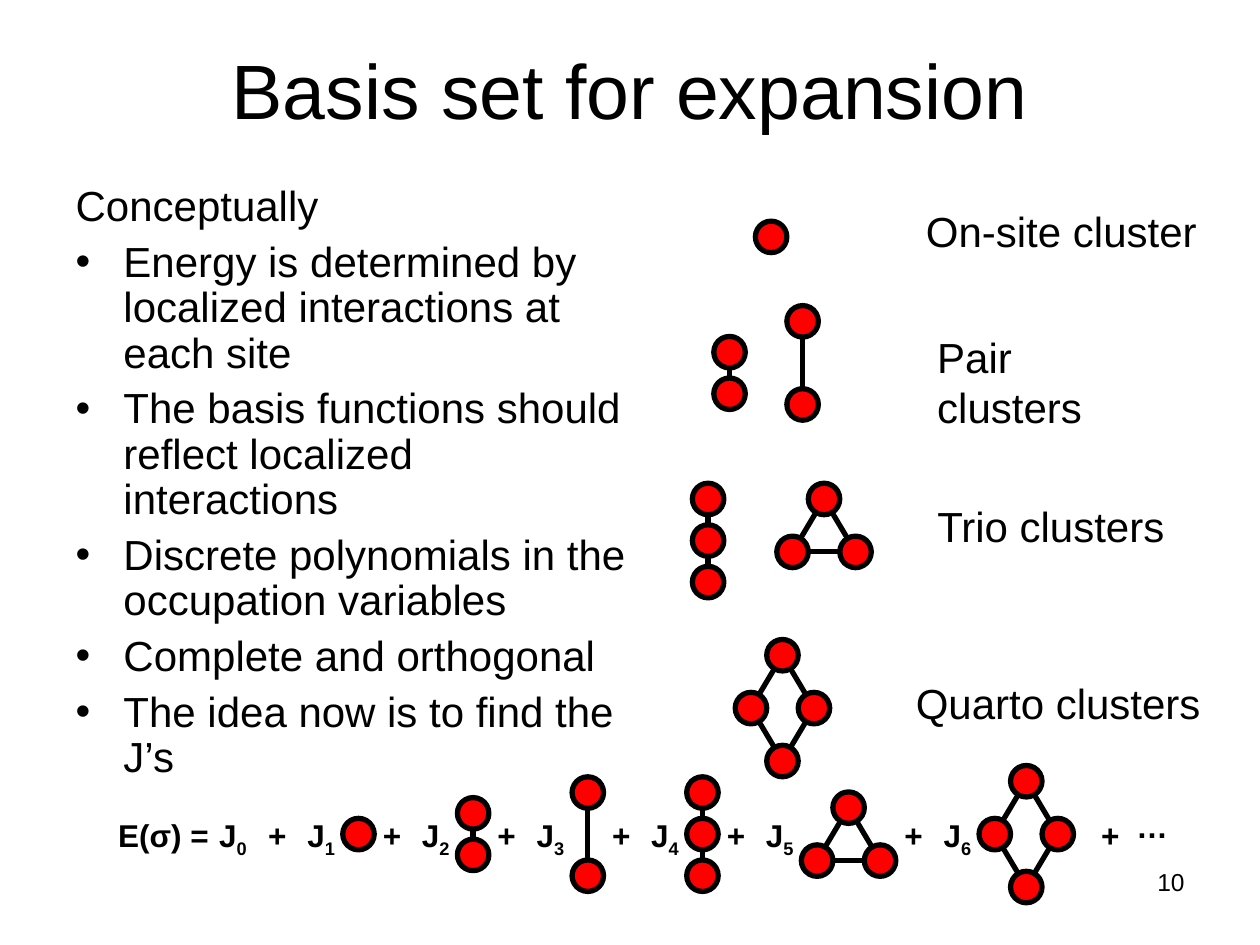
import itertools

import lxml.etree
import pptx
import pptx.dml.color
import pptx.enum.shapes
import pptx.enum.text
import pptx.oxml.ns
import pptx.util

Inches = pptx.util.Inches
ALIGN = pptx.enum.text.PP_ALIGN
FONT = "Arial"
COLORS = {"ink": "000000", "site": "FF0000"}
SITE = 0.25  # diameter of a site

# Site offsets from the cluster's centre; CHAINS are open, the others closed.
CLUSTERS = {
    "site": [(0, 0)],
    "near pair": [(0, -0.165), (0, 0.165)],
    "far pair": [(0, -0.33), (0, 0.33)],
    "line trio": [(0, -0.33), (0, 0), (0, 0.33)],
    "triangle": [(0, -0.21), (0.25, 0.21), (-0.25, 0.21)],
    "diamond": [(0, -0.42), (0.25, 0), (0, 0.42), (-0.25, 0)],
}
CLOSED = ("triangle", "diamond")

BULLETS = [
    "Energy is determined by localized interactions at each site",
    "The basis functions should reflect localized interactions",
    "Discrete polynomials in the occupation variables",
    "Complete and orthogonal",
    "The idea now is to find the J’s",
]

# Label, its left and top, and the clusters with their centres.
FAMILIES = [
    ("On-site cluster", 7.25, 1.58, 2.35, [("site", 6.12, 1.88)]),
    ("Pair clusters", 7.34, 2.58, 2.03,
     [("near pair", 5.79, 2.96), ("far pair", 6.37, 2.88)]),
    ("Trio clusters", 7.34, 3.92, 2.01,
     [("line trio", 5.62, 4.29), ("triangle", 6.54, 4.17)]),
    ("Quarto clusters", 7.17, 5.33, 2.46, [("diamond", 6.21, 5.62)]),
]


def rgb(name):
    return pptx.dml.color.RGBColor.from_string(COLORS[name])


def place(shape, left, top, width, height):
    shape.left, shape.top = Inches(left), Inches(top)
    shape.width, shape.height = Inches(width), Inches(height)


def style_font(paragraph, size, bold=False):
    font = paragraph.font
    font.name, font.size, font.bold = FONT, pptx.util.Pt(size), bold
    font.color.rgb = rgb("ink")


def style_line(shape):
    shape.line.color.rgb = rgb("ink")
    shape.line.width = pptx.util.Pt(3)


def add_label(shapes, text, box, size, bold=False, subscript="", align=ALIGN.LEFT):
    frame = shapes.add_textbox(*map(Inches, box)).text_frame
    frame.word_wrap = False
    frame.auto_size = pptx.enum.text.MSO_AUTO_SIZE.SHAPE_TO_FIT_TEXT
    paragraph = frame.paragraphs[0]
    paragraph.alignment = align
    style_font(paragraph, size, bold)
    paragraph.add_run().text = text
    if subscript:
        run = paragraph.add_run()
        run.text = subscript
        run._r.get_or_add_rPr().set("baseline", "-25000")


def add_bond(shapes, start, end):
    bond = shapes.add_connector(
        pptx.enum.shapes.MSO_CONNECTOR.STRAIGHT, *map(Inches, start + end))
    style_line(bond)
    lxml.etree.SubElement(bond._element.spPr, pptx.oxml.ns.qn("a:effectLst"))


def add_cluster(shapes, name, center_x, center_y):
    """Draw a cluster's bonds, then its sites over them, in a group."""
    group = shapes.add_group_shape().shapes
    sites = [(center_x + dx, center_y + dy) for dx, dy in CLUSTERS[name]]
    ring = sites + sites[:1] if name in CLOSED else sites
    for start, end in itertools.pairwise(ring):
        add_bond(group, start, end)
    for x, y in sites:
        circle = group.add_shape(
            pptx.enum.shapes.MSO_SHAPE.OVAL,
            *map(Inches, (x - SITE / 2, y - SITE / 2, SITE, SITE)))
        circle.shadow.inherit = False
        circle.fill.solid()
        circle.fill.fore_color.rgb = rgb("site")
        style_line(circle)


def fill_title(title, box):
    place(title, *box)
    title.text_frame.text = "Basis set for expansion"
    title.text_frame.vertical_anchor = pptx.enum.text.MSO_ANCHOR.MIDDLE
    paragraph = title.text_frame.paragraphs[0]
    paragraph.alignment = ALIGN.CENTER
    style_font(paragraph, 44)


def fill_body(body, box):
    place(body, *box)
    frame = body.text_frame
    frame.text = "\n".join(["Conceptually"] + BULLETS)
    frame.auto_size = pptx.enum.text.MSO_AUTO_SIZE.NONE
    for index, paragraph in enumerate(frame.paragraphs):
        paragraph.line_spacing = 0.9
        paragraph.space_before = pptx.util.Pt(6)
        properties = paragraph._p.get_or_add_pPr()
        properties.set("marL", str(Inches(0.38)))
        properties.set("indent", str(-Inches(0.38)))
        tag = "a:buChar" if index else "a:buNone"
        bullet = lxml.etree.SubElement(properties, pptx.oxml.ns.qn(tag))
        if index:
            bullet.set("char", "•")
        style_font(paragraph, 24)


def add_families(shapes):
    for label, left, top, width, clusters in FAMILIES:
        for cluster in clusters:
            add_cluster(shapes, *cluster)
        add_label(shapes, label, (left, top, width, 0.5), 24)


def add_equation(shapes, left, top):
    """Lay the terms out from left to right, each as wide as its cluster."""
    group = shapes.add_group_shape().shapes

    def write(text, x, width, y=top, subscript=""):
        add_label(group, text, (x, y, width, 0.44 if subscript else 0.4),
                  18, True, subscript)

    write("E(σ) =", left, 0.97)
    write("J", left + 0.8, 0.42, subscript="0")
    x = left + 1.19
    for number, (name, sites) in enumerate(CLUSTERS.items(), start=1):
        write("+", x, 0.34)
        x += 0.31
        write("J", x, 0.42, subscript=str(number))
        width = SITE + 2 * max(dx for dx, dy in sites)
        add_cluster(group, name, x + 0.38 + width / 2, top + 0.19)
        x += 0.35 + width
    write("+", x + 0.15, 0.34)
    write("…", x + 0.43, 0.45, y=top - 0.07)


def main():
    presentation = pptx.Presentation()
    presentation.slide_width, presentation.slide_height = Inches(10), Inches(7.5)
    slide = presentation.slides.add_slide(presentation.slide_layouts[1])
    fill_title(slide.shapes.title, (0.5, 0.08, 9, 1.25))
    fill_body(slide.placeholders[1], (0.5, 1.42, 4.58, 4.95))
    add_families(slide.shapes)
    add_equation(slide.shapes, 0.84, 6.43)
    add_label(slide.shapes, "10", (9.08, 6.83, 0.42, 0.33), 14, align=ALIGN.RIGHT)
    presentation.save("out.pptx")


if __name__ == "__main__":
    main()
